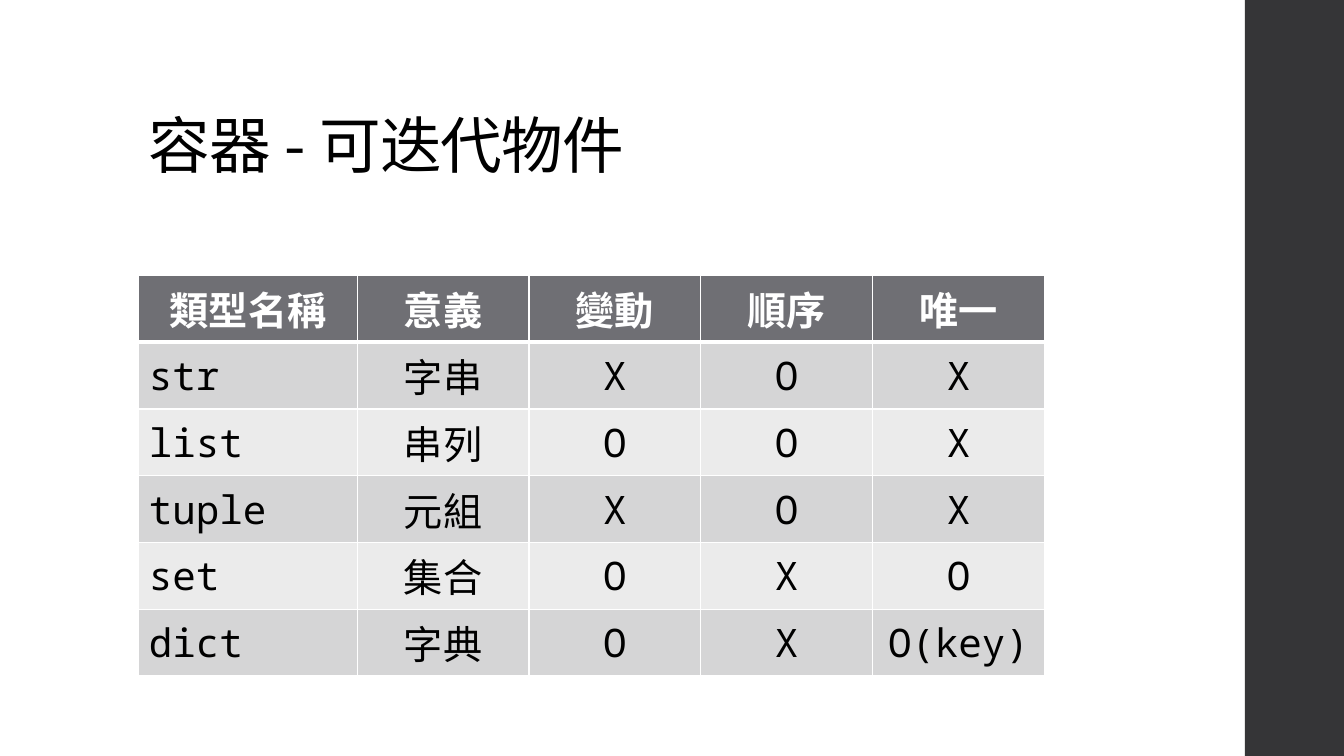
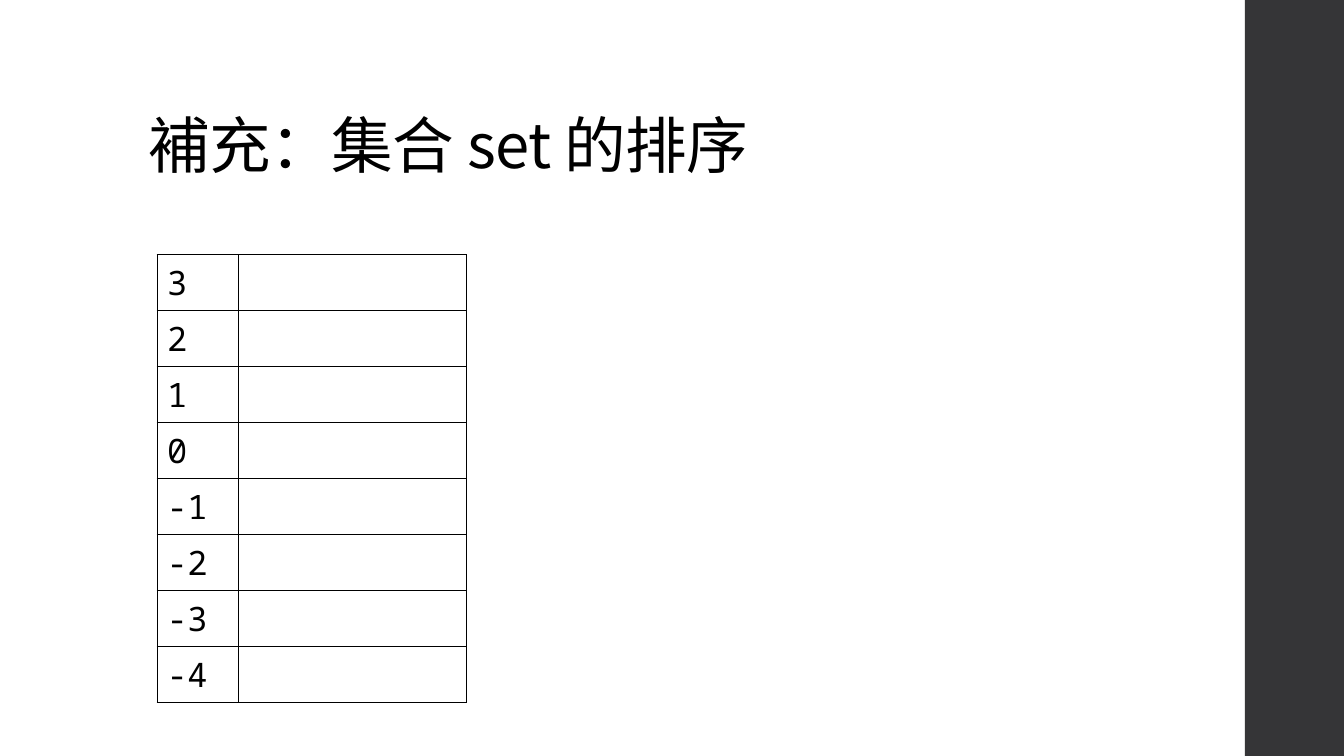
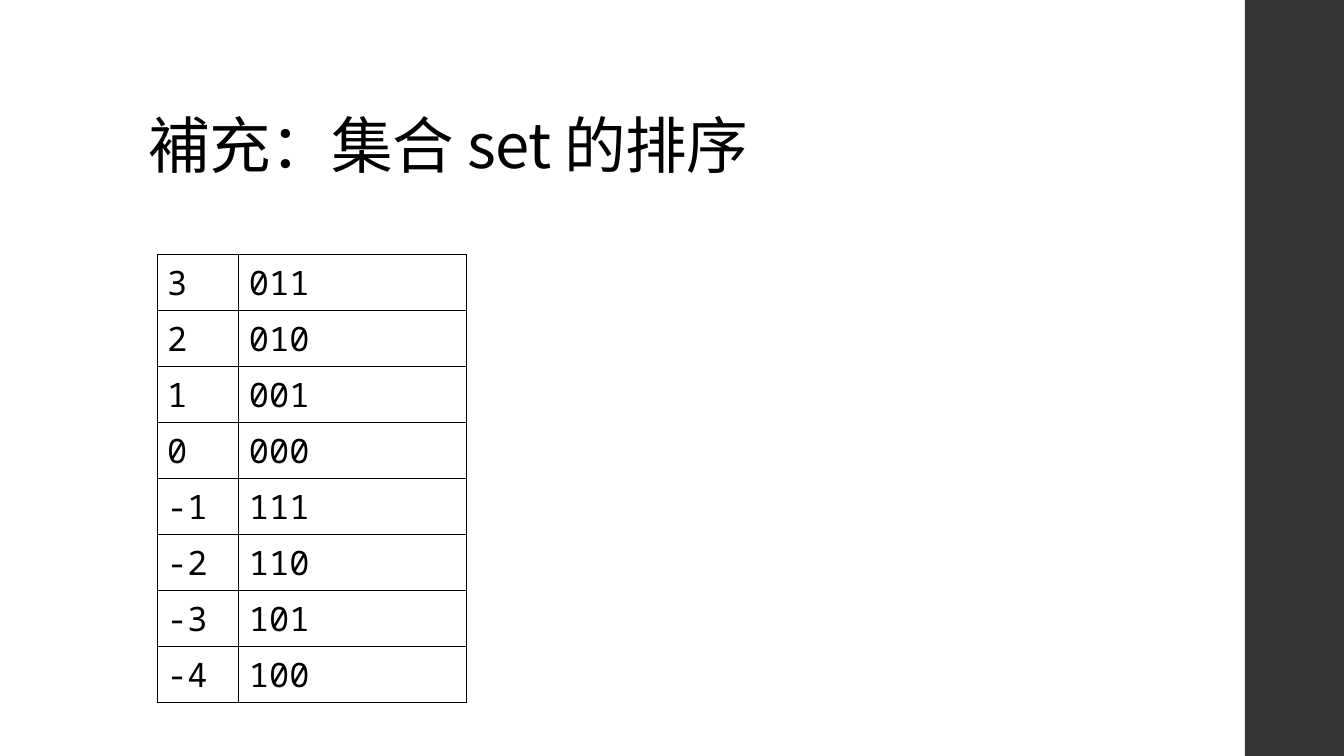
import pptx
import pptx.util
import pptx.dml.color
import pptx.enum.shapes
import pptx.enum.text
import pptx.oxml
import pptx.oxml.ns

Cm, Pt = pptx.util.Cm, pptx.util.Pt
ALIGN = pptx.enum.text.PP_ALIGN
ANCHOR = pptx.enum.text.MSO_ANCHOR
qn = pptx.oxml.ns.qn
SANS, MONO = "Noto Sans CJK JP", "Noto Sans Mono"
BLACK, WHITE, DARK = "000000", "FFFFFF", "353537"
HEAD, ODD, EVEN = "6F6F74", "D5D5D6", "EBEBEB"


def tint(fmt, color):
    """Give a fill a solid colour."""
    fmt.solid()
    fmt.fore_color.rgb = pptx.dml.color.RGBColor.from_string(color)


def write(frame, text, size=24, color=BLACK, bold=False, align=ALIGN.LEFT):
    """Put one formatted line of text in a text frame."""
    line = frame.paragraphs[0]
    line.alignment = align
    run = line.add_run()
    run.text = text
    font = run.font
    font.size, font.bold, font.name = Pt(size), bold, MONO
    tint(font.fill, color)
    asian = pptx.oxml.parse_xml(
        f'<a:ea {pptx.oxml.ns.nsdecls("a")} typeface="{SANS}"/>')
    font._element.find(qn("a:latin")).addnext(asian)


deck = pptx.Presentation()
deck.slide_width, deck.slide_height = Cm(33.87), Cm(19.05)
master = deck.slide_master
layout = deck.slide_layouts.get_by_name("Title Only")

# Shared title style
style = master.element.find(".//" + qn("p:titleStyle")).find(qn("a:lvl1pPr"))
style.set("algn", "l")
style.insert(0, pptx.oxml.parse_xml(
    f'<a:lnSpc {pptx.oxml.ns.nsdecls("a")}><a:spcPct val="90000"/></a:lnSpc>'))
base = style.find(qn("a:defRPr"))
base.set("sz", "4400")
base.set("spc", "-50")
for tag in ("a:latin", "a:ea"):
    base.find(qn(tag)).set("typeface", SANS)
for spot in (master, layout):
    title = spot.placeholders[0]
    title.left, title.top = Cm(3.5), Cm(1.02)
    title.width, title.height = Cm(26.92), Cm(3.68)
    title.text_frame.vertical_anchor = ANCHOR.BOTTOM

# Tables
kinds = [
    ("類型名稱", "意義", "變動", "順序", "唯一"),
    ("str", "字串", "X", "O", "X"),
    ("list", "串列", "O", "O", "X"),
    ("tuple", "元組", "X", "O", "X"),
    ("set", "集合", "O", "X", "O"),
    ("dict", "字典", "O", "X", "O(key)"),
]
nums = range(3, -5, -1)
blank = [(str(n), "") for n in nums]
bits = [(str(n), format(n & 7, "03b")) for n in nums]
wide = dict(left=3.5, top=6.94, cols=[5.5] + [4.33] * 4, high=1.44,
            size=28, edge=WHITE, head=True)
slim = dict(left=3.96, top=6.42, cols=[2.06, 5.74], high=1.27,
            size=24, edge=BLACK, head=False)
pages = [
    ("容器 - 可迭代物件", kinds, wide),
    ("補充：集合 set 的排序", blank, slim),
    ("補充：集合 set 的排序", bits, slim),
]

for name, rows, look in pages:
    slide = deck.slides.add_slide(layout)
    slide.shapes.title.text_frame.text = name
    cols, head = look["cols"], look["head"]
    table = slide.shapes.add_table(
        len(rows), len(cols), Cm(look["left"]), Cm(look["top"]),
        Cm(sum(cols)), Cm(look["high"] * len(rows))).table
    table.first_row, table.horz_banding = head, head
    for col, width in zip(table.columns, cols):
        col.width = Cm(width)
    for r, row in enumerate(rows):
        table.rows[r].height = Cm(look["high"])
        top = head and r == 0
        for c, text in enumerate(row):
            cell = table.cell(r, c)
            for side in "LRTB":
                thick = head and (side, r) in (("B", 0), ("T", 1))
                cell._tc.get_or_add_tcPr().append(pptx.oxml.parse_xml(
                    f'<a:ln{side} {pptx.oxml.ns.nsdecls("a")} '
                    f'w="{Pt(3 if thick else 1)}"><a:solidFill>'
                    f'<a:srgbClr val="{look["edge"]}"/></a:solidFill>'
                    f'</a:ln{side}>'))
            if head:
                tint(cell.fill, HEAD if top else ODD if r % 2 else EVEN)
                cell.vertical_anchor = ANCHOR.MIDDLE
            else:
                cell.fill.background()
            if text:
                mid = head and (top or c > 0)
                write(cell.text_frame, text, size=look["size"], bold=top,
                      color=WHITE if top else BLACK,
                      align=ALIGN.CENTER if mid else ALIGN.LEFT)

# Side band, moved to the master so that every slide shows it
band = deck.slides[0].shapes.add_shape(
    pptx.enum.shapes.MSO_SHAPE.RECTANGLE, Cm(31.37), 0, Cm(2.54), Cm(19.05))
band.shadow.inherit = False
tint(band.fill, DARK)
band.line.fill.background()
band.element.find(".//" + qn("p:cNvPr")).set("id", "20")
master.shapes.element.insert(2, band.element)

deck.save("out.pptx")
